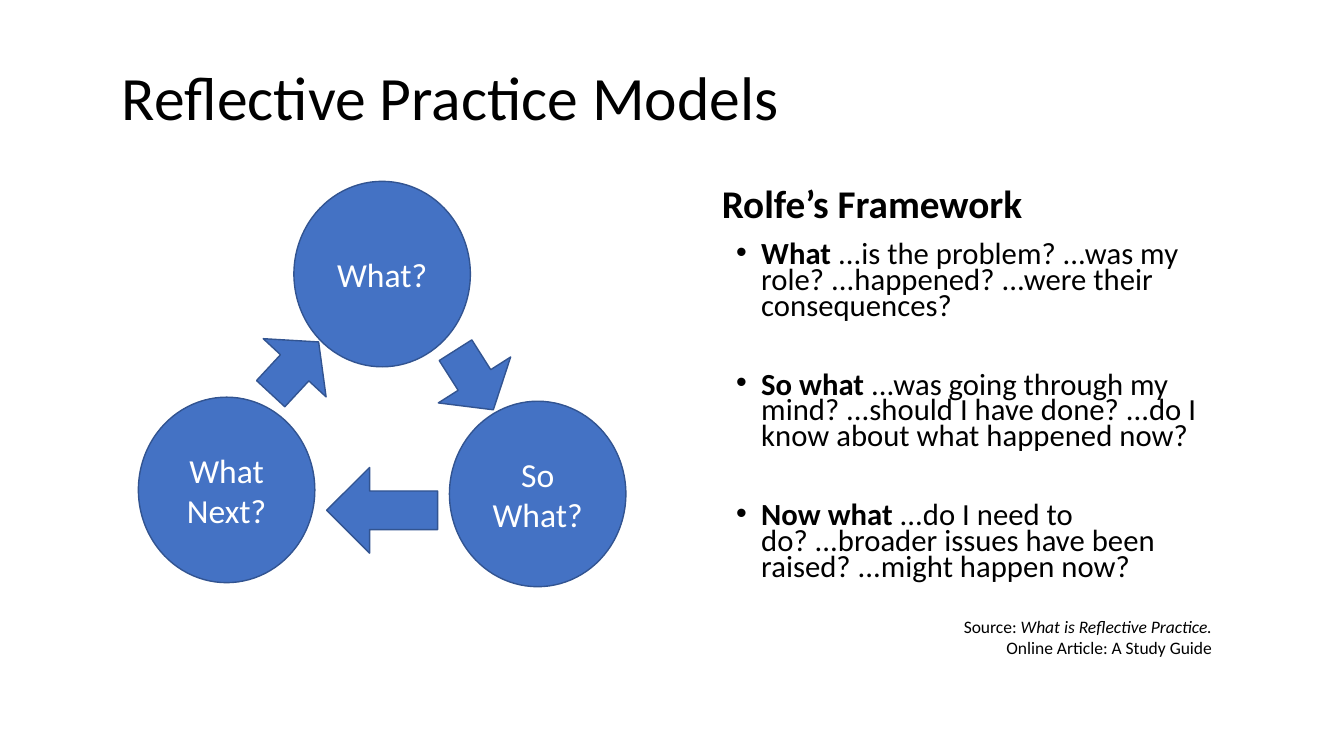
from lxml import etree
from pptx import Presentation, util as u
from pptx.dml.color import RGBColor
from pptx.enum import shapes, text
from pptx.oxml import ns

FONT = "Calibri"
BLACK, WHITE, BLUE, NAVY = "000000", "FFFFFF", "4472C4", "325491"

TITLE_BOX = (1.11, 0.42, 9.76, 1.15)
HEADING_BOX = (7.06, 1.74, 3.32, 0.56)
LIST_BOX = (7.2, 2.37, 4.92, 4.65)
CYCLE_BOX = (1.38, 1.79, 4.82, 4.04)

CIRCLE_SIZE = (1.75, 1.84)
# Centres are shares of the cycle box.
STEPS = [("What?", 0.5, 0.23), ("So What?", 0.82, 0.77), ("What Next?", 0.18, 0.76)]
# Centre as shares, width and height in inches, rotation in degrees.
ARROWS = [
    (0.69, 0.49, 0.85, 0.7, 327.6),
    (0.32, 0.46, 0.85, 0.7, 222.8),
    (0.5, 0.81, 0.85, 1.1, 90),
]

QUESTIONS = [
    ("What", " ...is the problem? ...was my role? ...happened? ...were their consequences?"),
    ("So what", " ...was going through my mind? ...should I have done? "
                "...do I know about what happened now?"),
    ("Now what", " ...do I need to do? ...broader issues have been raised? "
                 "...might happen now?"),
]
SOURCE = [
    [("Source: ", False), ("What is Reflective Practice.", True)],
    [("Online Article: A Study Guide", False)],
]


def color(value):
    return RGBColor.from_string(value)


def add_span(para, words, size, shade=BLACK, bold=False, italic=False):
    span = para.add_run()
    span.text = words
    font = span.font
    font.name, font.size, font.bold, font.italic = FONT, u.Pt(size), bold, italic
    font.color.rgb = color(shade)


def format_para(para, align, spacing=1.0, before=0):
    para.alignment = align
    para.line_spacing = spacing
    para.space_before = u.Pt(before)


def set_bullet(para, mark=None):
    """Give the paragraph a hanging bullet, or none without a mark."""
    props = para._p.get_or_add_pPr()
    indent = u.Inches(0.25) if mark else 0
    props.set("marL", str(indent))
    props.set("indent", str(-indent))
    if mark:
        etree.SubElement(props, ns.qn("a:buFont")).set("typeface", "Arial")
        etree.SubElement(props, ns.qn("a:buChar")).set("char", mark)
    else:
        etree.SubElement(props, ns.qn("a:buNone"))


def place(holder, box, anchor):
    """Move a placeholder into the box and return its text frame."""
    holder.left, holder.top, holder.width, holder.height = map(u.Inches, box)
    frame = holder.text_frame
    frame.word_wrap = True
    frame.auto_size = text.MSO_AUTO_SIZE.NONE
    frame.vertical_anchor = anchor
    return frame


def fill_heading(holder, box, words, size, anchor, bold=False):
    para = place(holder, box, anchor).paragraphs[0]
    format_para(para, text.PP_ALIGN.LEFT, 0.9)
    add_span(para, words, size, bold=bold)


def fill_questions(holder, box):
    frame = place(holder, box, text.MSO_ANCHOR.TOP)
    for number, (lead, rest) in enumerate(QUESTIONS):
        para = frame.add_paragraph() if number else frame.paragraphs[0]
        format_para(para, text.PP_ALIGN.LEFT, 0.7, 38 if number else 10)
        set_bullet(para, "•")
        add_span(para, lead, 21.9, bold=True)
        add_span(para, rest, 21.9)
    for number, spans in enumerate(SOURCE):
        para = frame.add_paragraph()
        format_para(para, text.PP_ALIGN.RIGHT, before=0 if number else 24)
        set_bullet(para)
        for words, italic in spans:
            add_span(para, words, 12.5, italic=italic)


def add_blue_shape(slide, kind, box, share_x, share_y, width, height):
    """Centre a shape on a point given as shares of the box."""
    left, top, box_width, box_height = box
    shape = slide.shapes.add_shape(
        kind,
        u.Inches(left + share_x * box_width - width / 2),
        u.Inches(top + share_y * box_height - height / 2),
        u.Inches(width), u.Inches(height))
    shape.shadow.inherit = False
    shape.fill.solid()
    shape.fill.fore_color.rgb = color(BLUE)
    shape.line.color.rgb = color(NAVY)
    shape.line.width = u.Pt(1)
    return shape


def draw_cycle(slide, box):
    for label, share_x, share_y in STEPS:
        circle = add_blue_shape(slide, shapes.MSO_SHAPE.OVAL, box,
                                share_x, share_y, *CIRCLE_SIZE)
        frame = circle.text_frame
        frame.word_wrap = True
        frame.vertical_anchor = text.MSO_ANCHOR.MIDDLE
        para = frame.paragraphs[0]
        format_para(para, text.PP_ALIGN.CENTER)
        add_span(para, label, 24, WHITE)
    for share_x, share_y, width, height, angle in ARROWS:
        arrow = add_blue_shape(slide, shapes.MSO_SHAPE.DOWN_ARROW, box,
                               share_x, share_y, width, height)
        arrow.adjustments[0] = 0.45
        arrow.adjustments[1] = 0.5
        arrow.rotation = angle


def main():
    deck = Presentation()
    deck.slide_width, deck.slide_height = u.Inches(13.33), u.Inches(7.5)
    slide = deck.slides.add_slide(deck.slide_layouts.get_by_name("Comparison"))
    title, heading, questions, *unused = slide.placeholders
    for holder in unused:
        holder.element.getparent().remove(holder.element)
    fill_heading(title, TITLE_BOX, "Reflective Practice Models", 44,
                 text.MSO_ANCHOR.MIDDLE)
    fill_heading(heading, HEADING_BOX, "Rolfe’s Framework", 28,
                 text.MSO_ANCHOR.BOTTOM, bold=True)
    fill_questions(questions, LIST_BOX)
    draw_cycle(slide, CYCLE_BOX)
    deck.save("out.pptx")


if __name__ == "__main__":
    main()
